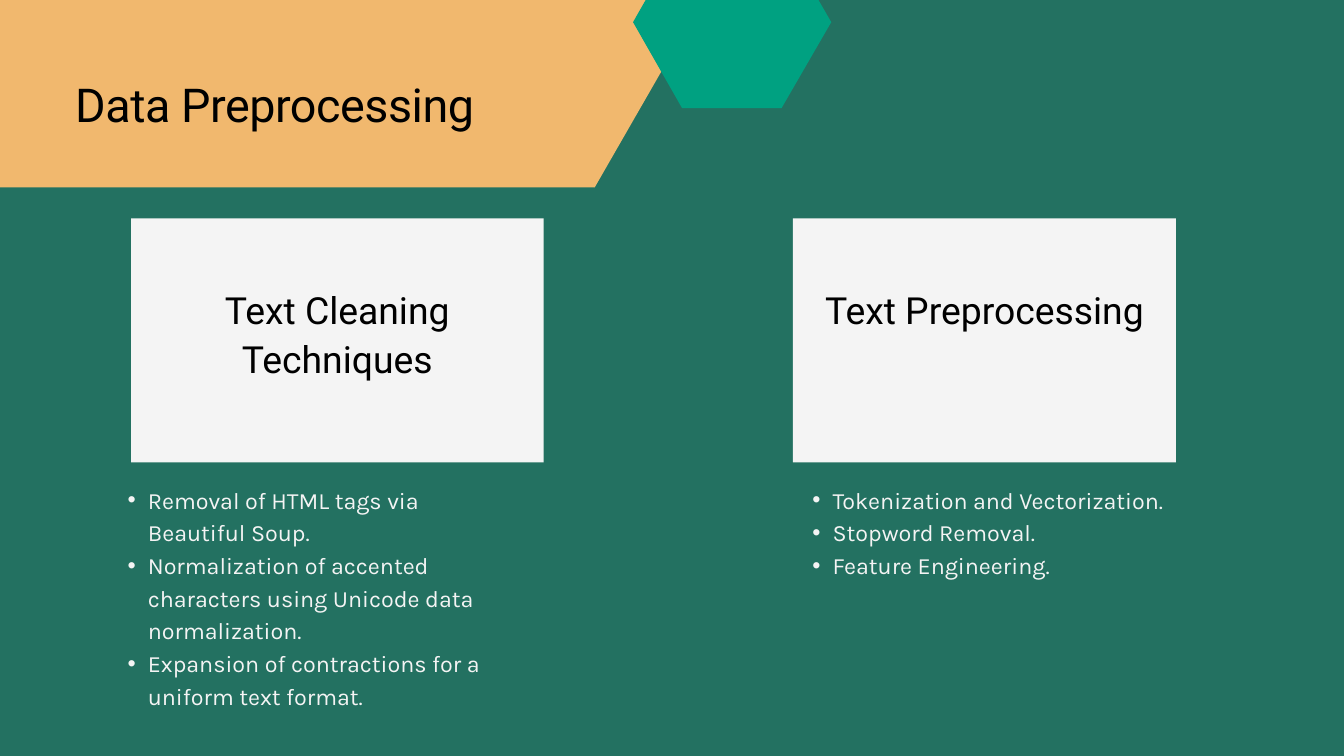
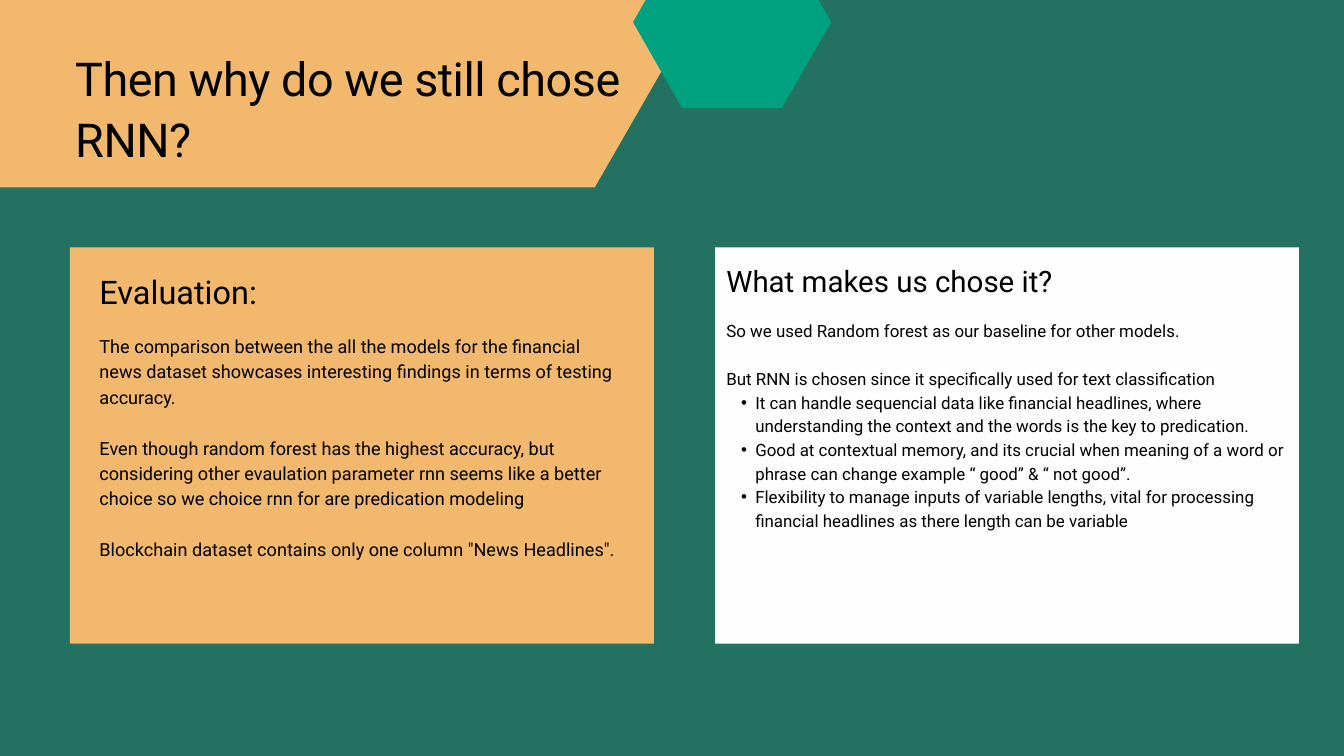
from dataclasses import dataclass
from typing import NamedTuple

from lxml.etree import SubElement
from pptx import Presentation
from pptx.dml.color import RGBColor
from pptx.enum.shapes import MSO_SHAPE as Preset
from pptx.enum.text import MSO_AUTO_SIZE as AutoSize, PP_ALIGN as Align
from pptx.oxml.ns import qn
from pptx.shapes.base import BaseShape
from pptx.slide import Slide
from pptx.util import Emu, Pt

PX = 9144  # EMU in one px, 100 px to the inch


class Box(NamedTuple):
    left: int
    top: int
    width: int
    height: int

    def emu(self) -> list[Emu]:
        return [Emu(side * PX) for side in self]


@dataclass(frozen=True)
class TextStyle:
    size: float
    leading: float
    color: str = "000000"
    font: str = "Roboto"
    align: Align = Align.LEFT
    tracking: int = 0
    margin: int = 0
    hanging: int = 0  # above zero: a bulleted paragraph


@dataclass(frozen=True)
class Theme:
    background: str = "237161"
    banner: str = "F1B86E"
    accent: str = "00A181"
    card: str = "F4F4F4"
    white: str = "FEFEFE"
    title = TextStyle(50, 65, tracking=-50)
    label = TextStyle(40, 52, align=Align.CENTER)
    point = TextStyle(25, 35, "F4F4F4", "Karla", margin=59, hanging=30)
    left_heading = TextStyle(34.8, 48.6)
    left_body = TextStyle(19.4, 27.2)
    right_heading = TextStyle(31.6, 44.2)
    right_body = TextStyle(18.1, 25.4)
    right_point = TextStyle(18.1, 25.4, margin=43, hanging=21)


THEME = Theme()


@dataclass(frozen=True)
class Line:
    text: str
    style: TextStyle
    gap: float = 0  # points of space before


@dataclass(frozen=True)
class Card:
    box: Box
    label: str
    points_box: Box
    points: list[str]


@dataclass(frozen=True)
class Panel:
    box: Box
    color: str
    text_box: Box
    lines: list[Line]


BANNER = [(-122, 279), (885, 279), (1081, -62), (885, -402), (-122, -402), (-319, -62)]
HEXAGON = [(1163, -95), (1015, -95), (942, 33), (1015, 161), (1163, 161), (1237, 33)]

CARDS = [
    Card(Box(195, 325, 614, 363), "Text Cleaning Techniques", Box(161, 716, 570, 334), [
        "Removal of HTML tags via Beautiful Soup.",
        "Normalization of accented characters using Unicode data normalization.",
        "Expansion of contractions for a uniform text format.",
    ]),
    Card(Box(1180, 325, 570, 363), "Text Preprocessing", Box(1180, 716, 570, 142), [
        "Tokenization and Vectorization.",
        "Stopword Removal.",
        "Feature Engineering.",
    ]),
]

PANELS = [
    Panel(Box(104, 368, 869, 590), THEME.banner, Box(148, 396, 780, 509), [
        Line("Evaluation:", THEME.left_heading),
        Line("The comparison between the all the models for the financial news dataset "
             "showcases interesting findings in terms of testing accuracy.",
             THEME.left_body, 21.6),
        Line("Even though random forest has the highest accuracy, but considering other "
             "evaulation parameter rnn seems like a better choice so we choice rnn for are "
             "predication modeling", THEME.left_body, 27.2),
        Line('Blockchain dataset contains only one column "News Headlines".',
             THEME.left_body, 27.2),
    ]),
    Panel(Box(1064, 368, 869, 590), THEME.white, Box(1081, 383, 844, 537), [
        Line("What makes us chose it?", THEME.right_heading),
        Line("So we used Random forest as our baseline for other models.",
             THEME.right_body, 20.4),
        Line("But RNN is chosen since it specifically used for text classification",
             THEME.right_body, 25.4),
        Line("It can handle sequencial data like financial headlines, where understanding "
             "the context and the words is the key to predication.", THEME.right_point),
        Line("Good at contextual memory, and its crucial when meaning of a word or phrase "
             "can change example “ good” & “ not good”.", THEME.right_point),
        Line("Flexibility to manage inputs of variable lengths, vital for processing "
             "financial headlines as there length can be variable", THEME.right_point),
    ]),
]


def paint(shape: BaseShape, color: str) -> None:
    shape.shadow.inherit = False
    shape.fill.solid()
    shape.fill.fore_color.rgb = RGBColor.from_string(color)
    shape.line.fill.background()


def add_block(page: Slide, box: Box, color: str) -> None:
    paint(page.shapes.add_shape(Preset.RECTANGLE, *box.emu()), color)


def add_outline(page: Slide, points: list[tuple[int, int]], color: str) -> None:
    builder = page.shapes.build_freeform(*points[0], scale=PX)
    builder.add_line_segments(points[1:], close=True)
    paint(builder.convert_to_shape(), color)


def add_text(page: Slide, box: Box, lines: list[Line], side: int = 0, top: int = 0) -> None:
    frame = page.shapes.add_textbox(*box.emu()).text_frame
    frame.word_wrap = True
    frame.auto_size = AutoSize.NONE
    frame.margin_left = frame.margin_right = Emu(side * PX)
    frame.margin_top, frame.margin_bottom = Emu(top * PX), Emu(0)
    for index, line in enumerate(lines):
        style = line.style
        para = frame.add_paragraph() if index else frame.paragraphs[0]
        para.alignment = style.align
        para.line_spacing = Pt(style.leading)
        if line.gap:
            para.space_before = Pt(line.gap)
        if style.hanging:
            para.level = 1
            props = para._p.get_or_add_pPr()
            props.set("marL", str(style.margin * PX))
            props.set("indent", str(-style.hanging * PX))
            SubElement(props, qn("a:buFont")).set("typeface", "Arial")
            SubElement(props, qn("a:buChar")).set("char", "•")
        para.font.size = Pt(style.size)
        para.font.name = style.font
        para.font.color.rgb = RGBColor.from_string(style.color)
        span = para.add_run()
        span.text = line.text
        if style.tracking:
            span._r.get_or_add_rPr().set("spc", str(style.tracking))


def add_page(deck: Presentation, title: str, title_box: Box) -> Slide:
    """Background, banner, hexagon and title that every slide shares."""
    page = deck.slides.add_slide(deck.slide_layouts[6])
    page.background.fill.solid()
    page.background.fill.fore_color.rgb = RGBColor.from_string(THEME.background)
    add_outline(page, BANNER, THEME.banner)
    add_outline(page, HEXAGON, THEME.accent)
    add_text(page, title_box, [Line(title, THEME.title)])
    return page


def add_card(page: Slide, card: Card) -> None:
    add_block(page, card.box, THEME.card)
    label_box = card.box._replace(top=299, height=390)
    add_text(page, label_box, [Line(card.label, THEME.label)], side=28, top=123)
    add_text(page, card.points_box, [Line(point, THEME.point) for point in card.points])


def add_panel(page: Slide, panel: Panel) -> None:
    add_block(page, panel.box, panel.color)
    add_text(page, panel.text_box, panel.lines)


def main() -> None:
    deck = Presentation()
    deck.slide_width, deck.slide_height = Emu(2000 * PX), Emu(1125 * PX)

    # Preprocessing steps
    page = add_page(deck, "Data Preprocessing", Box(112, 106, 860, 90))
    for card in CARDS:
        add_card(page, card)

    # Choice of model
    page = add_page(deck, "Then why do we still chose RNN?", Box(112, 67, 860, 181))
    for panel in PANELS:
        add_panel(page, panel)

    deck.save("out.pptx")


if __name__ == "__main__":
    main()
